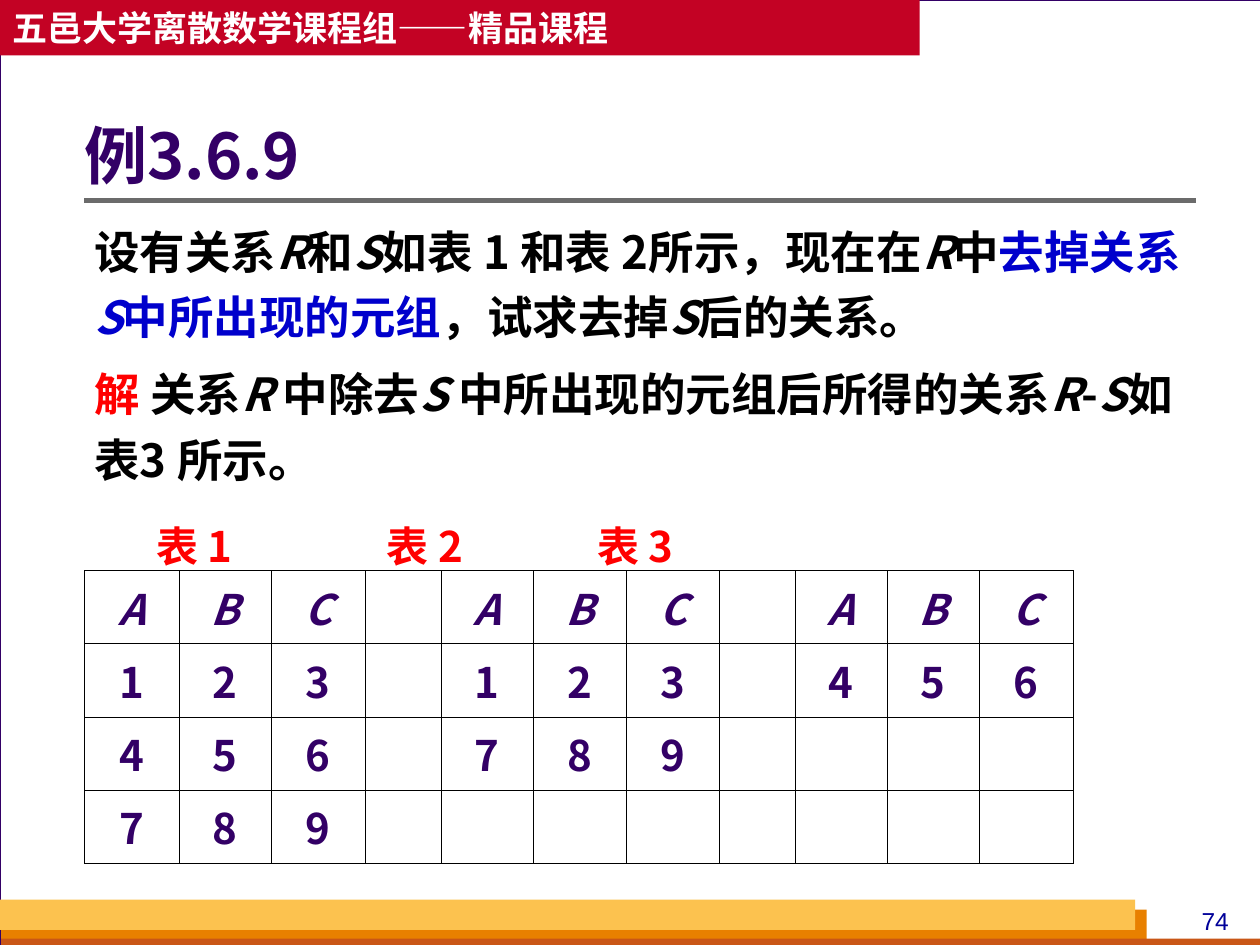
from dataclasses import dataclass
from lxml import etree
from pptx import Presentation
from pptx.dml.color import RGBColor
from pptx.enum.shapes import MSO_CONNECTOR, MSO_SHAPE
from pptx.enum.text import MSO_ANCHOR, PP_ALIGN
from pptx.oxml.ns import qn
from pptx.util import Inches, Pt

RECT = MSO_SHAPE.RECTANGLE
LINE = MSO_CONNECTOR.STRAIGHT
MIDDLE = MSO_ANCHOR.MIDDLE
CENTER, LEFT = PP_ALIGN.CENTER, PP_ALIGN.LEFT


@dataclass(frozen=True)
class Theme:
    font: str = "Noto Sans CJK SC"
    page_font: str = "Arial"
    back: str = "D8DADA"
    white: str = "FFFFFF"
    ink: str = "330066"
    black: str = "000000"
    blue: str = "0000CC"
    red: str = "FF0000"
    page: str = "000099"
    banner: str = "C30224"
    rule: str = "6B6B6B"
    orange: str = "E88000"
    rust: str = "C95616"
    gold: str = "FCC24F"
    title_size: int = 36
    body_size: int = 26
    cell_size: int = 24
    head_size: int = 20
    page_size: int = 14


theme = Theme()


def color(code):
    return RGBColor.from_string(code)


def style(para, size, code, name=theme.font, bold=True):
    """Set one font for Latin and East Asian text of a paragraph."""
    font = para.font
    font.size, font.bold, font.name = Pt(size), bold, name
    font.color.rgb = color(code)
    etree.SubElement(para._p.pPr.find(qn("a:defRPr")), qn("a:ea"), typeface=name)


deck = Presentation()
deck.slide_width, deck.slide_height = Inches(10), Inches(7.5)
slide = deck.slides.add_slide(deck.slide_layouts[5])
shapes = slide.shapes
slide.background.fill.solid()
slide.background.fill.fore_color.rgb = color(theme.back)

# Page, footer bands and banner
bands = [
    (0, 0, 10.01, 7.5, theme.white),
    (0.01, 7.22, 9.09, 0.28, theme.orange),
    (0.01, 7.45, 10, 0.08, theme.rust),
    (0, 7.14, 9.01, 0.24, theme.gold),
    (0, 0, 7.3, 0.44, theme.banner),
]
for *box, code in bands:
    band = shapes.add_shape(RECT, *map(Inches, box))
    band.shadow.inherit = False
    band.fill.solid()
    band.fill.fore_color.rgb = color(code)
    if code == theme.white:
        band.line.color.rgb = color(theme.ink)
        band.line.width = Pt(0.75)
    else:
        band.line.fill.background()

banner = band.text_frame
banner.word_wrap = False
banner.vertical_anchor = MIDDLE
para = banner.paragraphs[0]
para.text = "五邑大学离散数学课程组——精品课程"
para.alignment = LEFT
style(para, theme.head_size, theme.white)

rule = shapes.add_connector(LINE, Inches(0.67), Inches(1.59), Inches(9.49), Inches(1.59))
rule.line.color.rgb = color(theme.rule)
rule.line.width = Pt(3)
etree.SubElement(rule._element.spPr, qn("a:effectLst"))

page = shapes.add_textbox(Inches(9.33), Inches(7.14), Inches(0.63), Inches(0.34))
page.text_frame.word_wrap = True
para = page.text_frame.paragraphs[0]
para.text = "74"
para.alignment = CENTER
para.space_before = Pt(8.8)
style(para, theme.page_size, theme.page, theme.page_font, False)

# Title, brought in front of the page
title = shapes.title
shapes._spTree.append(title._element)
title.left, title.top = Inches(0.67), Inches(0.76)
title.width, title.height = Inches(8.82), Inches(1.01)
frame = title.text_frame
frame.margin_left = 0
frame.vertical_anchor = MIDDLE
para = frame.paragraphs[0]
para.text = "例3.6.9"
para.alignment = LEFT
para.line_spacing = 0.9
style(para, theme.title_size, theme.ink)

# Problem and solution: runs of text, colour, italic
black, blue, red = theme.black, theme.blue, theme.red
problem = [
    ("设有关系", black, False), ("R", black, True), ("和", black, False),
    ("S", black, True), ("如表 1 和表 2所示，现在在", black, False),
    ("R", black, True), ("中", black, False), ("去掉关系", blue, False),
    ("S", blue, True), ("中所出现的元组", blue, False),
    ("，试求去掉", black, False), ("S", black, True), ("后的关系。", black, False),
]
answer = [
    ("解 ", red, False), ("关系", black, False), ("R ", black, True),
    ("中除去", black, False), ("S ", black, True),
    ("中所出现的元组后所得的关系", black, False), ("R", black, True),
    ("-", black, False), ("S", black, True), ("如表3 所示。", black, False),
]
body = shapes.add_textbox(Inches(0.65), Inches(1.64), Inches(8.94), Inches(5.02))
frame = body.text_frame
frame.word_wrap = True
for i, parts in enumerate((problem, answer)):
    para = frame.add_paragraph() if i else frame.paragraphs[0]
    para.line_spacing = 1.2
    para.space_before = Pt(6.5)
    style(para, theme.body_size, black)
    for text, code, slant in parts:
        run = para.add_run()
        run.text = text
        run.font.italic = slant
        run.font.color.rgb = color(code)

# Relations R, S and R-S side by side, with an empty column between
sets = [["123", "456", "789"], ["123", "789"], ["456"]]
widths = [0.75, 0.73, 0.75, 0.6, 0.73, 0.74, 0.74, 0.6, 0.73, 0.73, 0.75]
grid = shapes.add_table(4, len(widths), Inches(0.67), Inches(4.53),
                        Inches(7.86), Inches(2.32)).table
grid.first_row = grid.horz_banding = False
for col, width in zip(grid.columns, widths):
    col.width = Inches(width)
for r in range(4):
    for c in range(len(widths)):
        cell = grid.cell(r, c)
        cell.vertical_anchor = MIDDLE
        props = cell._tc.get_or_add_tcPr()
        for side in ("lnL", "lnR", "lnT", "lnB"):
            edge = etree.SubElement(props, qn("a:" + side), w=str(Pt(0.45)))
            fill = etree.SubElement(edge, qn("a:solidFill"))
            etree.SubElement(fill, qn("a:srgbClr"), val=black)
        cell.fill.background()
        block, pos = divmod(c, 4)
        rows = ["ABC"] + sets[block]
        if pos < 3 and r < len(rows):
            para = cell.text_frame.paragraphs[0]
            para.text = rows[r][pos]
            para.alignment = CENTER
            style(para, theme.cell_size, theme.ink)
            para.font.italic = r == 0

# Captions, set apart by tab stops
heads = shapes.add_textbox(Inches(1.14), Inches(4.08), Inches(7.15), Inches(0.32))
heads.text_frame.word_wrap = True
para = heads.text_frame.paragraphs[0]
para.text = "表 1\t表 2\t表 3"
para.alignment = LEFT
tabs = etree.SubElement(para._p.get_or_add_pPr(), qn("a:tabLst"))
for stop in (1.83, 3.5):
    etree.SubElement(tabs, qn("a:tab"), pos=str(Inches(stop)), algn="l")
style(para, theme.cell_size, red)

deck.save("out.pptx")
